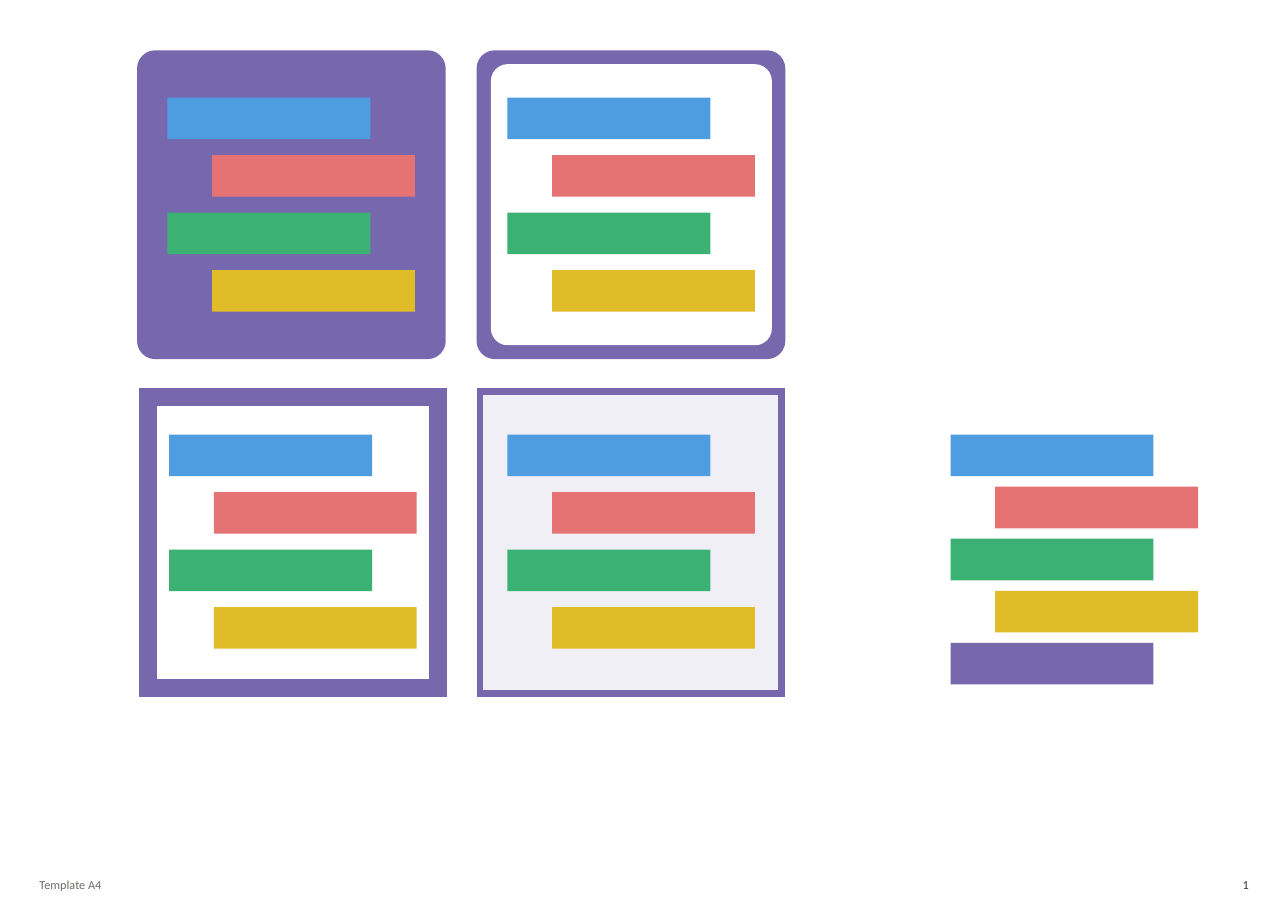
from dataclasses import dataclass

from lxml import etree
from pptx import Presentation
from pptx import util as u
from pptx.dml import color
from pptx.enum import shapes, text
from pptx.oxml import ns

PURPLE, WHITE = "7768AE", "FFFFFF"
BAR_COLORS = ["4D9DE0", "E67373", "3BB273", "E1BC29", PURPLE]
BAR_WIDTH, BAR_HEIGHT, BAR_INDENT = 4.68, 0.96, 1.03
ROUND, RECT, FRAME = (shapes.MSO_SHAPE.ROUNDED_RECTANGLE,
                      shapes.MSO_SHAPE.RECTANGLE, shapes.MSO_SHAPE.FRAME)


@dataclass
class Panel:
    kind: shapes.MSO_SHAPE
    left: float
    top: float
    size: float = 6.96
    fill: str = PURPLE
    line: str = PURPLE
    adjust: float | None = None
    opacity: int = 100


@dataclass
class BarStack:
    left: float
    top: float
    pitch: float = 1.325
    count: int = 4


@dataclass
class Label:
    text: str
    left: float
    width: float
    color: str
    align: text.PP_ALIGN


PANELS = [
    Panel(ROUND, 3.24, 1.24, adjust=0.049),
    Panel(ROUND, 11.07, 1.24, adjust=0.049),
    Panel(ROUND, 11.4, 1.56, 6.32, WHITE, WHITE, 0.049),
    Panel(FRAME, 3.28, 9.02, adjust=0.037),
    Panel(RECT, 11.07, 9.02, opacity=10),
]
STACKS = [
    BarStack(3.86, 2.25),
    BarStack(11.7, 2.25),
    BarStack(3.9, 10.02),
    BarStack(11.7, 10.02),
    BarStack(21.92, 10.02, 1.2, 5),
]
LABELS = [
    Label("Template A4", 0.91, 19.3, "6D6E6A", text.PP_ALIGN.LEFT),
    Label("1", 21.89, 6.91, "39322B", text.PP_ALIGN.RIGHT),
]


def rgb(value: str) -> color.RGBColor:
    return color.RGBColor.from_string(value)


def add_panel(s, panel: Panel) -> None:
    sp = s.shapes.add_shape(panel.kind, u.Cm(panel.left), u.Cm(panel.top),
                            u.Cm(panel.size), u.Cm(panel.size))
    sp.shadow.inherit = False
    if panel.adjust is not None:
        sp.adjustments[0] = panel.adjust
    sp.fill.solid()
    sp.fill.fore_color.rgb = rgb(panel.fill)
    if panel.opacity < 100:
        fill = sp.element.spPr.find(ns.qn("a:solidFill"))
        etree.SubElement(fill[0], ns.qn("a:alpha"), val=str(panel.opacity * 1000))
    sp.line.color.rgb = rgb(panel.line)
    sp.line.width = u.Pt(4.5)
    ln = sp.element.spPr.find(ns.qn("a:ln"))
    etree.SubElement(ln, ns.qn("a:miter"), lim="800000")


def add_stack(s, stack: BarStack) -> None:
    group = s.shapes.add_group_shape()
    for i, fill in enumerate(BAR_COLORS[:stack.count]):
        sp = group.shapes.add_shape(
            RECT, u.Cm(stack.left + i % 2 * BAR_INDENT),
            u.Cm(stack.top + i * stack.pitch), u.Cm(BAR_WIDTH), u.Cm(BAR_HEIGHT))
        sp.shadow.inherit = False
        sp.fill.solid()
        sp.fill.fore_color.rgb = rgb(fill)
        sp.line.fill.background()


def add_label(s, label: Label) -> None:
    sp = s.shapes.add_textbox(u.Cm(label.left), u.Cm(20.22),
                              u.Cm(label.width), u.Cm(0.31))
    tf = sp.text_frame
    tf.word_wrap = True
    tf.margin_left = tf.margin_right = tf.margin_top = tf.margin_bottom = 0
    p = tf.paragraphs[0]
    p.text = label.text
    p.alignment = label.align
    p.font.name = "Calibri"
    p.font.size = u.Pt(8)
    p.font.color.rgb = rgb(label.color)


def main() -> None:
    prs = Presentation()
    prs.slide_width, prs.slide_height = u.Cm(29.7), u.Cm(21)
    s = prs.slides.add_slide(prs.slide_layouts[6])
    for panel in PANELS:
        add_panel(s, panel)
    for stack in STACKS:
        add_stack(s, stack)
    for label in LABELS:
        add_label(s, label)
    prs.save("out.pptx")


if __name__ == "__main__":
    main()
